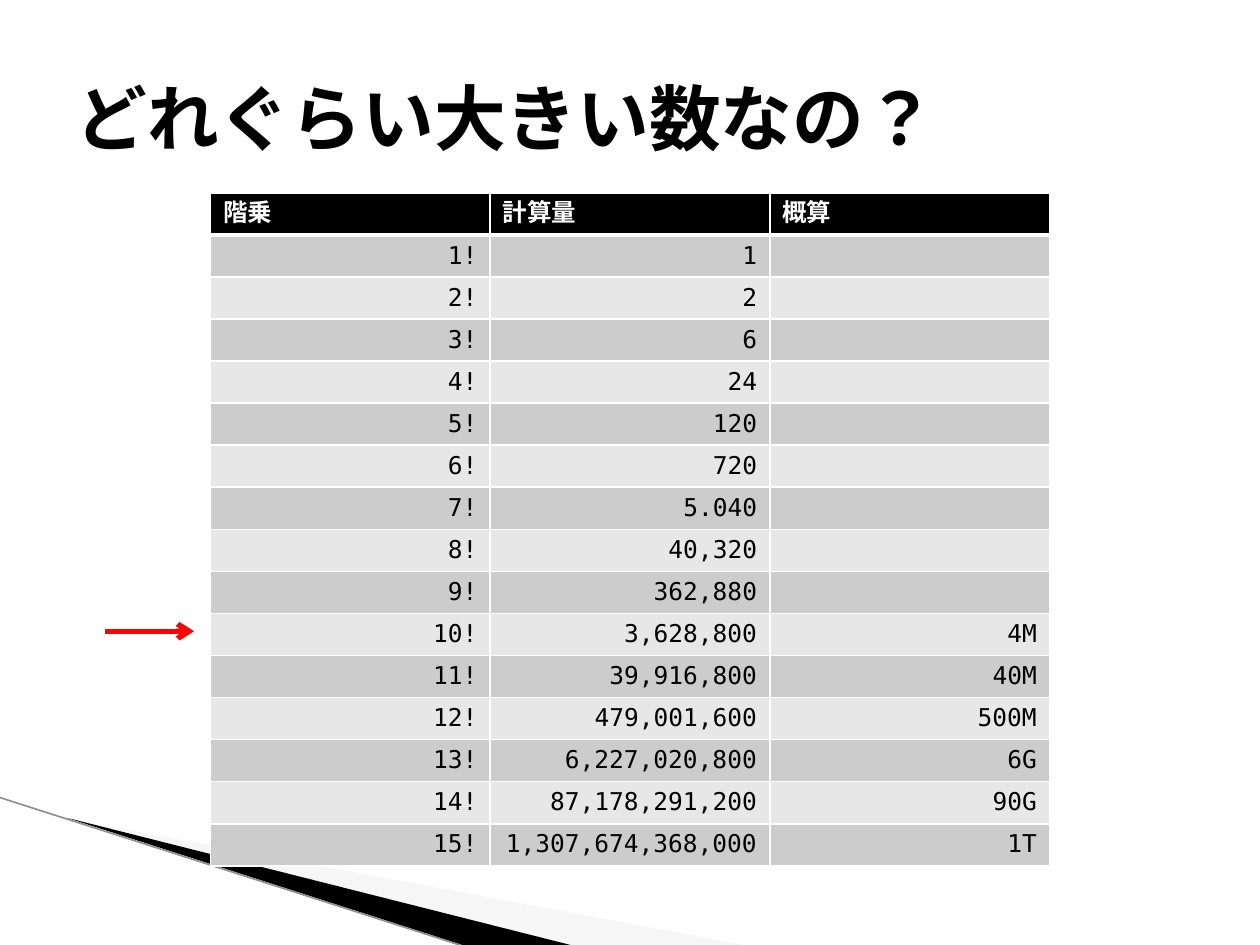
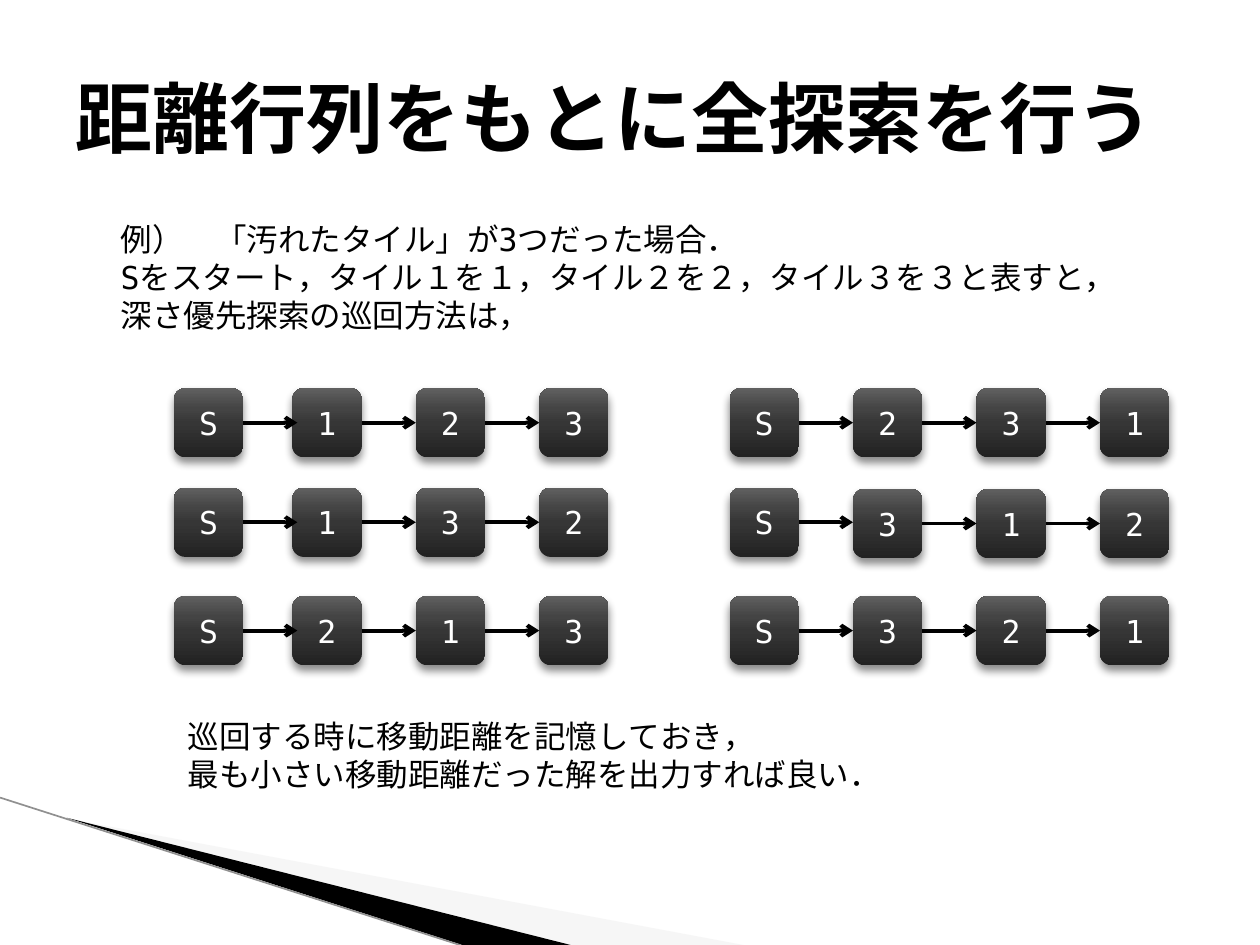
import dataclasses

import lxml.etree
import pptx
import pptx.dml.color
import pptx.enum.dml
import pptx.enum.lang
import pptx.enum.shapes
import pptx.enum.text
import pptx.oxml.ns
import pptx.util

Inches = pptx.util.Inches
Pt = pptx.util.Pt
ALIGN = pptx.enum.text.PP_ALIGN
ANCHOR = pptx.enum.text.MSO_ANCHOR


@dataclasses.dataclass(frozen=True)
class Theme:
    font: str = "DejaVu Sans Mono"
    ink: str = "000000"
    paper: str = "FFFFFF"
    alert: str = "FF0000"
    sweep: str = "EAEAEA"
    edge: str = "909090"
    bands: tuple = ("CCCCCC", "E7E7E7")
    tile_stops: tuple = ((0, "222222"), (50, "363636"), (70, "444444"), (100, "606060"))
    long_title: int = 44
    short_title: int = 41
    body: int = 18
    table: int = 14


THEME = Theme()

FACTORIALS = (
    "1", "2", "6", "24", "120", "720", "5.040", "40,320", "362,880", "3,628,800",
    "39,916,800", "479,001,600", "6,227,020,800", "87,178,291,200", "1,307,674,368,000",
)
ESTIMATES = {10: "4M", 11: "40M", 12: "500M", 13: "6G", 14: "90G", 15: "1T"}


def apply_format(target, values):
    for name, value in values.items():
        setattr(target, name, value)


def rgb(color):
    return pptx.dml.color.RGBColor.from_string(color)


def add_element(parent, tag, **attributes):
    element = lxml.etree.SubElement(parent, pptx.oxml.ns.qn(tag))
    for name, value in attributes.items():
        element.set(name, str(value))
    return element


def paint(fill, color):
    fill.solid()
    fill.fore_color.rgb = rgb(color)


def write(paragraph, text, size, color=THEME.ink, bold=False, align=ALIGN.LEFT):
    paragraph.alignment = align
    if not text:
        add_element(paragraph._p, "a:endParaRPr", sz=size * 100)
        return
    run = paragraph.add_run()
    run.text = text
    apply_format(run.font, {
        "name": THEME.font,
        "size": Pt(size),
        "bold": bold,
        "language_id": pptx.enum.lang.MSO_LANGUAGE_ID.JAPANESE,
    })
    run.font.color.rgb = rgb(color)
    add_element(run.font._element, "a:ea", typeface=THEME.font)


def add_line(slide, start, end, color, width, arrow=True):
    line = slide.shapes.add_connector(pptx.enum.shapes.MSO_CONNECTOR.STRAIGHT, *start, *end)
    line.line.color.rgb = rgb(color)
    line.line.width = Pt(width)
    properties = line.element.spPr
    if arrow:
        add_element(properties.find(pptx.oxml.ns.qn("a:ln")), "a:tailEnd", type="arrow")
    add_element(properties, "a:effectLst")
    return line


def add_sweep(slide, corners, color, opacity=100):
    points = [(Inches(x), Inches(y)) for x, y in corners]
    builder = slide.shapes.build_freeform(*points[0])
    builder.add_line_segments(points[1:])
    sweep = builder.convert_to_shape()
    sweep.shadow.inherit = False
    paint(sweep.fill, color)
    sweep.line.fill.background()
    if opacity < 100:
        shade = sweep.element.spPr.find(".//" + pptx.oxml.ns.qn("a:srgbClr"))
        add_element(shade, "a:alpha", val=opacity * 1000)


def add_corner_sweeps(slide):
    add_sweep(slide, ((0.55, 6.5), (5.9, 7.5), (4.53, 7.5)), THEME.sweep, 40)
    add_sweep(slide, ((0.53, 6.49), (4.53, 7.5), (3.67, 7.5)), THEME.ink)
    add_line(slide, (0, Inches(6.33)), (Inches(3.65), Inches(7.5)), THEME.edge, 0.95, arrow=False)


def add_text(slide, box, lines, size, bold=False, anchor=ANCHOR.TOP, indents=()):
    area = slide.shapes.add_textbox(*map(Inches, box))
    apply_format(area.text_frame, {"word_wrap": True, "vertical_anchor": anchor})
    for index, line in enumerate(lines):
        frame = area.text_frame
        paragraph = frame.add_paragraph() if index else frame.paragraphs[0]
        write(paragraph, line, size, bold=bold)
        if indents:
            apply_format(paragraph._p.get_or_add_pPr(), {"marL": 0, "indent": Inches(indents[index])})


def start_slide(deck, title, size):
    slide = deck.slides.add_slide(deck.slide_layouts[6])
    add_corner_sweeps(slide)
    add_text(slide, (0.5, 0.3, 9, 1.25), [title], size, bold=True, anchor=ANCHOR.MIDDLE)
    return slide


def set_borders(cell, top, bottom):
    properties = cell._tc.get_or_add_tcPr()
    widths = {"a:lnL": 1, "a:lnR": 1, "a:lnT": top, "a:lnB": bottom}
    for tag, width in widths.items():
        border = add_element(properties, tag, w=Pt(width))
        add_element(add_element(border, "a:solidFill"), "a:srgbClr", val=THEME.paper)


def add_factorial_table(slide, box):
    rows = [("階乗", "計算量", "概算")]
    rows += [(f"{n}!", value, ESTIMATES.get(n, "")) for n, value in enumerate(FACTORIALS, 1)]
    factorials = slide.shapes.add_table(len(rows), len(rows[0]), *map(Inches, box)).table
    for column in factorials.columns:
        column.width = Inches(2.22)
    for index, texts in enumerate(rows):
        factorials.rows[index].height = Inches(0.32)
        heading = index == 0
        background = THEME.ink if heading else THEME.bands[(index - 1) % 2]
        for cell, text in zip(factorials.rows[index].cells, texts):
            set_borders(cell, top=3 if index == 1 else 1, bottom=3 if heading else 1)
            paint(cell.fill, background)
            write(
                cell.text_frame.paragraphs[0], text, THEME.table,
                color=THEME.paper if heading else THEME.ink,
                bold=heading, align=ALIGN.LEFT if heading else ALIGN.RIGHT,
            )


def add_tile(slide, left, top, side, label):
    tile = slide.shapes.add_shape(
        pptx.enum.shapes.MSO_SHAPE.ROUNDED_RECTANGLE, left, top, side, side)
    tile.fill.gradient()
    tile.fill.gradient_angle = 90
    tile.line.fill.background()
    tile.shadow.inherit = False
    properties = tile.element.spPr
    stops = properties.find(".//" + pptx.oxml.ns.qn("a:gsLst"))
    for stop in list(stops):
        stops.remove(stop)
    for position, color in THEME.tile_stops:
        add_element(add_element(stops, "a:gs", pos=position * 1000), "a:srgbClr", val=color)
    shadow = add_element(
        properties.find(pptx.oxml.ns.qn("a:effectLst")), "a:outerShdw",
        blurRad=Pt(5), dist=Pt(3), dir=90 * 60000, rotWithShape=0)
    add_element(add_element(shadow, "a:srgbClr", val=THEME.ink), "a:alpha", val=45000)
    tile.text_frame.vertical_anchor = ANCHOR.MIDDLE
    write(tile.text_frame.paragraphs[0], label, THEME.body, THEME.paper, align=ALIGN.CENTER)
    return tile


def add_route(slide, left, top, stops, overlap=0, drop=0):
    side, gap = Inches(0.55), Inches(0.43)
    overlap, drop = Inches(overlap), Inches(drop)
    left, top = Inches(left), Inches(top)
    tiles = [add_tile(slide, left, top, side, "S")]
    for index, label in enumerate(stops, 1):
        tiles.append(add_tile(
            slide, left + index * (side + gap) - overlap, top + drop, side, label))
    for source, target in zip(tiles, tiles[1:]):
        start = source.left + side
        middle = source.top + side // 2
        arrow = add_line(slide, (start, middle), (start + gap, middle), THEME.ink, 2.25)
        arrow.begin_connect(source, 3)
        if (target.left, target.top) == (start + gap, source.top):
            arrow.end_connect(target, 1)


def build_size_slide(deck):
    slide = start_slide(deck, "どれぐらい大きい数なの？", THEME.short_title)
    add_factorial_table(slide, (1.67, 1.53, 6.66, 5.12))
    pointer_y = Inches(5.01)
    add_line(slide, (Inches(0.83), pointer_y), (Inches(1.54), pointer_y), THEME.alert, 3)


def build_search_slide(deck):
    slide = start_slide(deck, "距離行列をもとに全探索を行う", THEME.long_title)
    add_text(slide, (0.86, 1.7, 8.19, 1.01), [
        "例）　「汚れたタイル」が3つだった場合．",
        "Sをスタート，タイル１を１，タイル２を２，タイル３を３と表すと，",
        "深さ優先探索の巡回方法は，",
    ], THEME.body, indents=(0, 0.81, 0.75))
    route_rows = ((3.08, "123", "231", 0), (3.87, "132", "312", 0.01), (4.73, "213", "321", 0))
    for top, left_route, right_route, drop in route_rows:
        add_route(slide, 1.38, top, left_route, overlap=0.04)
        add_route(slide, 5.79, top, right_route, drop=drop)
    add_text(slide, (1.39, 5.64, 5.8, 0.71), [
        "巡回する時に移動距離を記憶しておき，",
        "最も小さい移動距離だった解を出力すれば良い．",
    ], THEME.body)


def main():
    deck = pptx.Presentation()
    apply_format(deck, {"slide_width": Inches(10), "slide_height": Inches(7.5)})
    build_size_slide(deck)
    build_search_slide(deck)
    deck.save("out.pptx")


if __name__ == "__main__":
    main()
